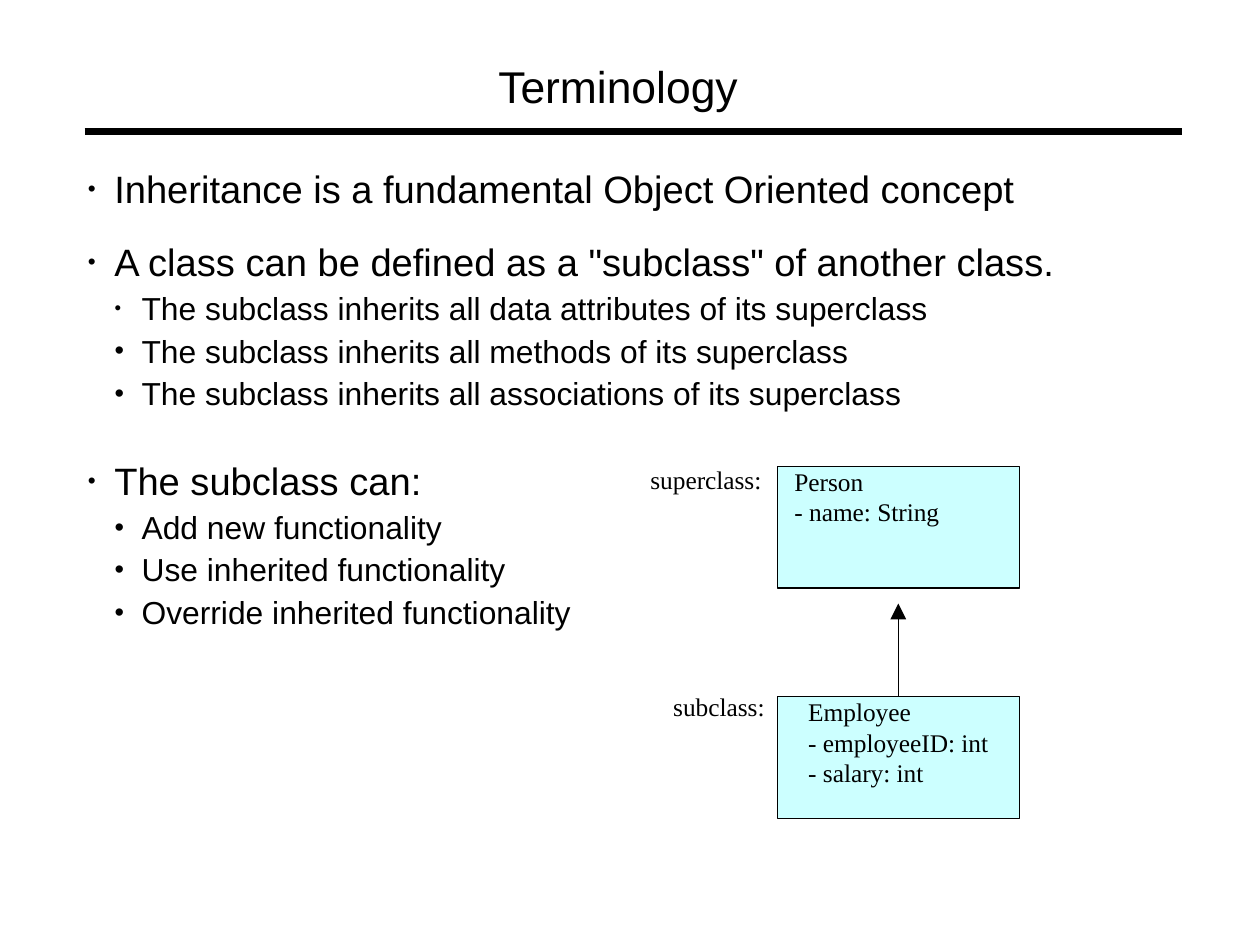
from lxml.etree import SubElement
from pptx import Presentation
from pptx.dml.color import RGBColor
from pptx.enum.shapes import MSO_CONNECTOR as Connector, MSO_SHAPE as Preset
from pptx.enum.text import MSO_ANCHOR as Anchor, MSO_AUTO_SIZE as AutoSize, PP_ALIGN as Align
from pptx.oxml.ns import qn
from pptx.util import Pt

BLACK = RGBColor(0x00, 0x00, 0x00)
PALE_CYAN = RGBColor(0xCC, 0xFF, 0xFF)
SANS, SERIF = "Arial", "Times New Roman"
BOX_LEFT, BOX_WIDTH, BOX_HEIGHT = 489.6, 152.6, 76.8
SUPERCLASS_TOP, SUBCLASS_TOP = 293.6, 438.6

LEVEL_SIZES = (24, 20)
LEVEL_INDENTS = ((16.6, -16.6), (33.8, -16.9))
TERMS = [
    (0, 2.8, 59, "Inheritance is a fundamental Object Oriented concept"),
    (0, 17.1, 59, 'A class can be defined as a "subclass" of another class.'),
    (1, 2.8, 59, "The subclass inherits all data attributes of its superclass"),
    (1, 2.8, 85, "The subclass inherits all methods of its superclass"),
    (1, 2.8, 85, "The subclass inherits all associations of its superclass"),
    (0, 28.6, 59, "The subclass can:"),
    (1, 2.8, 85, "Add new functionality"),
    (1, 2.8, 85, "Use inherited functionality"),
    (1, 2.8, 85, "Override inherited functionality"),
]


def place(shape, left, top, width, height):
    """Move and size a shape, with lengths in points."""
    shape.left, shape.top = Pt(left), Pt(top)
    shape.width, shape.height = Pt(width), Pt(height)


def set_frame(text_frame, left=0, wrap=True):
    """Anchor text at the top with only the given left inset."""
    text_frame.margin_left = Pt(left)
    text_frame.margin_top = text_frame.margin_right = text_frame.margin_bottom = 0
    text_frame.vertical_anchor = Anchor.TOP
    text_frame.auto_size = AutoSize.NONE
    text_frame.word_wrap = wrap


def format_paragraph(paragraph, font_name, size):
    """Left-align a paragraph and format its runs."""
    paragraph.alignment = Align.LEFT
    paragraph.line_spacing = 1.0
    for run in paragraph.runs:
        run.font.name = font_name
        run.font.size = Pt(size)
        run.font.color.rgb = BLACK


def add_bullet(paragraph, level, percent):
    """Give a paragraph a hanging bullet of the given relative size."""
    properties = paragraph._p.get_or_add_pPr()
    margin, indent = LEVEL_INDENTS[level]
    properties.set("marL", str(Pt(margin)))
    properties.set("indent", str(Pt(indent)))
    color = SubElement(properties, qn("a:buClr"))
    SubElement(color, qn("a:srgbClr"), val=str(BLACK))
    SubElement(properties, qn("a:buSzPct"), val=str(percent * 1000))
    SubElement(properties, qn("a:buFont"), typeface=SANS)
    SubElement(properties, qn("a:buChar"), char="•")


def fill_title(title):
    """Write the slide title."""
    place(title, 313.9, 37.4, 167.8, 33.8)
    set_frame(title.text_frame)
    title.text_frame.text = "Terminology"
    format_paragraph(title.text_frame.paragraphs[0], SANS, 28)


def fill_terms(body):
    """Write the two-level list."""
    place(body, 55.4, 104.4, 674.6, 293.8)
    text_frame = body.text_frame
    set_frame(text_frame)
    text_frame.text = "\n".join(text for *_, text in TERMS)
    for paragraph, (level, gap, percent, _) in zip(text_frame.paragraphs, TERMS):
        paragraph.level = level
        format_paragraph(paragraph, SANS, LEVEL_SIZES[level])
        paragraph.space_before = Pt(gap)
        add_bullet(paragraph, level, percent)


def add_class_box(slide, top, inset, text):
    """Add a class box with its name and attributes."""
    box = slide.shapes.add_shape(
        Preset.RECTANGLE, Pt(BOX_LEFT), Pt(top), Pt(BOX_WIDTH), Pt(BOX_HEIGHT))
    box.shadow.inherit = False
    box.fill.solid()
    box.fill.fore_color.rgb = PALE_CYAN
    box.line.color.rgb = BLACK
    box.line.width = Pt(0.75)
    set_frame(box.text_frame, left=inset)
    box.text_frame.text = text
    for paragraph in box.text_frame.paragraphs:
        format_paragraph(paragraph, SERIF, 16)
    return box


def add_label(slide, left, top, width, text):
    """Add a label beside a class box."""
    label = slide.shapes.add_textbox(Pt(left), Pt(top), Pt(width), Pt(19.4))
    set_frame(label.text_frame, wrap=False)
    label.text_frame.text = text
    format_paragraph(label.text_frame.paragraphs[0], SERIF, 16)


def add_line(slide, start, end, width):
    """Add a straight black line between two points."""
    line = slide.shapes.add_connector(
        Connector.STRAIGHT, *(Pt(value) for value in (*start, *end)))
    line.line.color.rgb = BLACK
    line.line.width = Pt(width)
    SubElement(line._element.spPr, qn("a:effectLst"))
    return line


def add_inheritance_arrow(slide, subclass_box):
    """Add the arrow from the subclass up towards the superclass."""
    center = BOX_LEFT + BOX_WIDTH / 2
    arrow = add_line(slide, (center, SUBCLASS_TOP), (center, 380.2), 0.75)
    arrow.begin_connect(subclass_box, 0)
    SubElement(arrow.line._get_or_add_ln(), qn("a:tailEnd"),
               type="triangle", w="lg", len="lg")


def main():
    """Build and save the slide."""
    presentation = Presentation()
    presentation.slide_width, presentation.slide_height = Pt(793.7), Pt(595.28)
    slide = presentation.slides.add_slide(presentation.slide_layouts[1])
    add_line(slide, (53.3, 82.8), (744.5, 82.8), 4.31)
    fill_title(slide.shapes.title)
    fill_terms(slide.placeholders[1])
    add_class_box(slide, SUPERCLASS_TOP, 10.8, "Person\n- name: String")
    subclass_box = add_class_box(
        slide, SUBCLASS_TOP, 19.5, "Employee\n- employeeID: int\n- salary: int")
    add_inheritance_arrow(slide, subclass_box)
    add_label(slide, 409.7, 292.3, 69.8, "superclass:")
    add_label(slide, 424.1, 435.6, 57.6, "subclass:")
    presentation.save("out.pptx")


if __name__ == "__main__":
    main()
